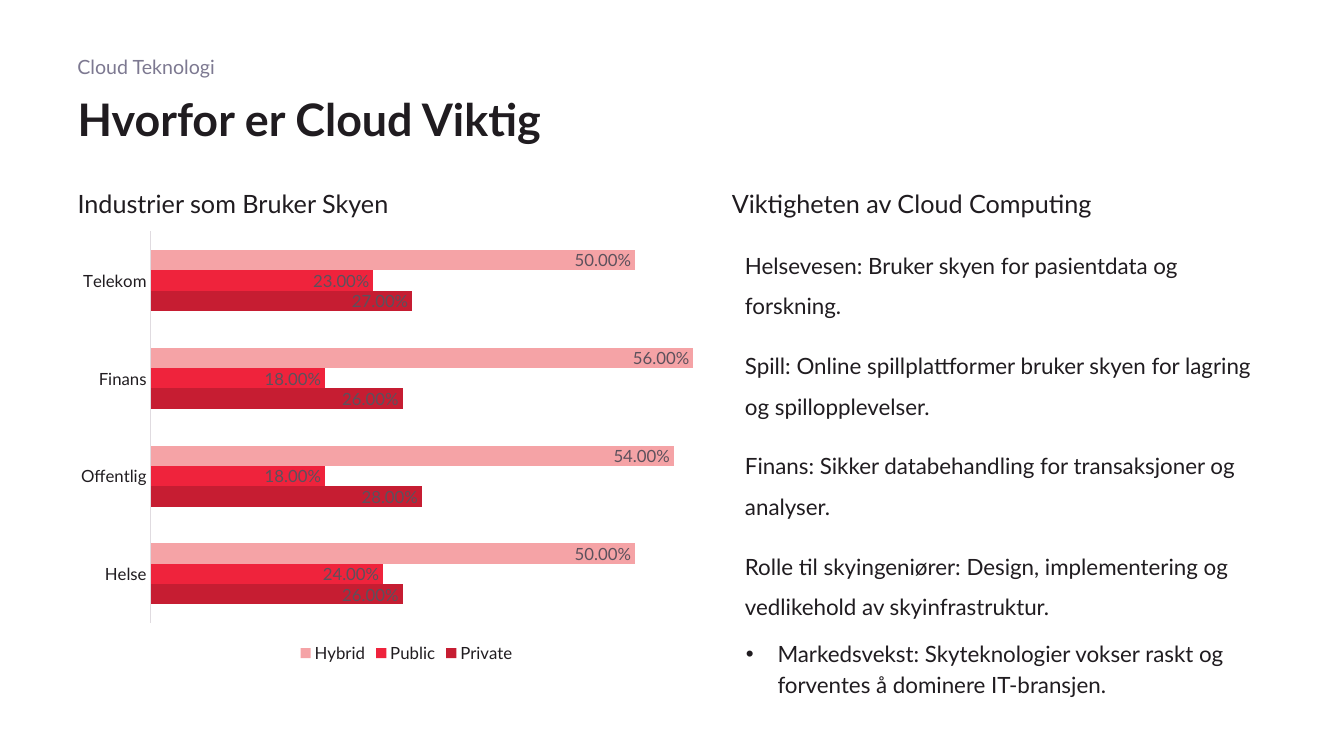
from dataclasses import dataclass

from pptx import Presentation
from pptx.chart.data import CategoryChartData
from pptx.dml.color import RGBColor
from pptx.enum.chart import XL_CHART_TYPE, XL_LABEL_POSITION, XL_LEGEND_POSITION, XL_TICK_LABEL_POSITION, XL_TICK_MARK
from pptx.enum.text import MSO_ANCHOR, MSO_AUTO_SIZE, PP_ALIGN
from pptx.oxml.ns import qn
from pptx.util import Cm, Pt
from lxml import etree

BAR_CLUSTERED = XL_CHART_TYPE.BAR_CLUSTERED
INSIDE_END = XL_LABEL_POSITION.INSIDE_END
LEGEND_BOTTOM = XL_LEGEND_POSITION.BOTTOM
NO_LABELS = XL_TICK_LABEL_POSITION.NONE
NO_TICKS = XL_TICK_MARK.NONE
TOP, MIDDLE, BOTTOM = MSO_ANCHOR.TOP, MSO_ANCHOR.MIDDLE, MSO_ANCHOR.BOTTOM
NO_AUTOFIT = MSO_AUTO_SIZE.NONE
LEFT = PP_ALIGN.LEFT


@dataclass(frozen=True)
class Theme:
    font: str = "Lato"
    ink: str = "201C20"
    muted: str = "7D7991"
    label: str = "5C515C"
    axis: str = "E0DBE0"
    private: str = "C61D32"
    public: str = "EF233C"
    hybrid: str = "F5A3A6"
    title_size: int = 32
    heading_size: int = 18
    body_size: int = 16
    topic_size: int = 14
    chart_size: int = 12


theme = Theme()


def style_font(font, size, color=theme.ink, bold=False):
    font.name = theme.font
    font.size = Pt(size)
    font.bold = bold
    font.color.rgb = RGBColor.from_string(color)


def write(shape, text, box, size, color=theme.ink, bold=False, anchor=TOP,
          line_spacing=1.0, space_before=0, bulleted_last=False):
    shape.left, shape.top, shape.width, shape.height = map(Cm, box)
    frame = shape.text_frame
    frame.word_wrap = True
    frame.auto_size = NO_AUTOFIT
    frame.vertical_anchor = anchor
    frame.text = text
    for paragraph in frame.paragraphs:
        paragraph.alignment = LEFT
        paragraph.line_spacing = line_spacing
        paragraph.space_before = Pt(space_before)
        paragraph.space_after = Pt(0)
        style_font(paragraph.runs[0].font, size, color, bold)
        properties = paragraph._p.get_or_add_pPr()
        if bulleted_last and paragraph._p is frame.paragraphs[-1]._p:
            paragraph.line_spacing = Pt(22)
            paragraph.space_before = Pt(12)
            properties.set("marL", str(Cm(0.82)))
            properties.set("indent", str(Cm(-0.8)))
            etree.SubElement(properties, qn("a:buFont")).set("typeface", "Arial")
            etree.SubElement(properties, qn("a:buChar")).set("char", "•")
        else:
            properties.set("marL", "0")
            properties.set("indent", "0")
            etree.SubElement(properties, qn("a:buNone"))


presentation = Presentation()
presentation.slide_width = Cm(33.87)
presentation.slide_height = Cm(19.05)
slide = presentation.slides.add_slide(presentation.slide_layouts.get_by_name("Comparison"))
title, chart_heading, chart_slot, list_heading, reasons = slide.placeholders
chart_slot.element.getparent().remove(chart_slot.element)

topic = slide.shapes.add_textbox(Cm(1.7), Cm(1.27), Cm(15.24), Cm(1.14))
write(topic, "Cloud Teknologi", (1.7, 1.27, 15.24, 1.14), theme.topic_size, color=theme.muted)
write(title, "Hvorfor er Cloud Viktig", (1.7, 1.96, 30.48, 2.21), theme.title_size,
      bold=True, anchor=MIDDLE, line_spacing=0.9)

for heading, text, left, width in (
    (chart_heading, "Industrier som Bruker Skyen", 1.7, 14.22),
    (list_heading, "Viktigheten av Cloud Computing", 18.19, 14.0),
):
    write(heading, text, (left, 4.42, width, 1.22), theme.heading_size,
          anchor=BOTTOM, line_spacing=1.2, space_before=12)

reason_lines = (
    "Helsevesen: Bruker skyen for pasientdata og forskning.",
    "Spill: Online spillplattformer bruker skyen for lagring og spillopplevelser.",
    "Finans: Sikker databehandling for transaksjoner og analyser.",
    "Rolle til skyingeniører: Design, implementering og vedlikehold av skyinfrastruktur.",
    "Markedsvekst: Skyteknologier vokser raskt og forventes å dominere IT-bransjen.",
)
write(reasons, "\n".join(reason_lines), (18.52, 5.89, 13.67, 10.92), theme.body_size,
      line_spacing=1.5, space_before=14, bulleted_last=True)

cloud_shares = (
    ("Private", (0.26, 0.28, 0.26, 0.27), theme.private),
    ("Public", (0.24, 0.18, 0.18, 0.23), theme.public),
    ("Hybrid", (0.5, 0.54, 0.56, 0.5), theme.hybrid),
)
chart_data = CategoryChartData(number_format="0.00%")
chart_data.categories = ("Helse", "Offentlig", "Finans", "Telekom")
for name, values, color in cloud_shares:
    chart_data.add_series(name, values)
chart = slide.shapes.add_chart(BAR_CLUSTERED, Cm(1.7), Cm(5.61), Cm(17.09), Cm(11.2), chart_data).chart
style_font(chart.font, theme.chart_size)
chart.has_title = False
chart.has_legend = True
chart.legend.position = LEGEND_BOTTOM
chart.legend.include_in_layout = False
style_font(chart.legend.font, theme.chart_size)

for axis in (chart.category_axis, chart.value_axis):
    axis.has_major_gridlines = False
    axis.major_tick_mark = NO_TICKS
    axis.minor_tick_mark = NO_TICKS
    style_font(axis.tick_labels.font, theme.chart_size)
chart.category_axis.format.line.color.rgb = RGBColor.from_string(theme.axis)
chart.category_axis.format.line.width = Pt(0.75)
chart.value_axis.format.line.fill.background()
chart.value_axis.tick_label_position = NO_LABELS
chart.value_axis.minimum_scale = 0
chart.value_axis.maximum_scale = 0.6

plot = chart.plots[0]
plot.gap_width = 182
plot.overlap = 0
plot.vary_by_categories = False
for series, (name, values, color) in zip(plot.series, cloud_shares):
    series.format.fill.solid()
    series.format.fill.fore_color.rgb = RGBColor.from_string(color)
    labels = series.data_labels
    labels.show_value = True
    labels.position = INSIDE_END
    labels.number_format = "0.00%"
    labels.number_format_is_linked = False
    style_font(labels.font, theme.chart_size, theme.label)

presentation.save("out.pptx")
